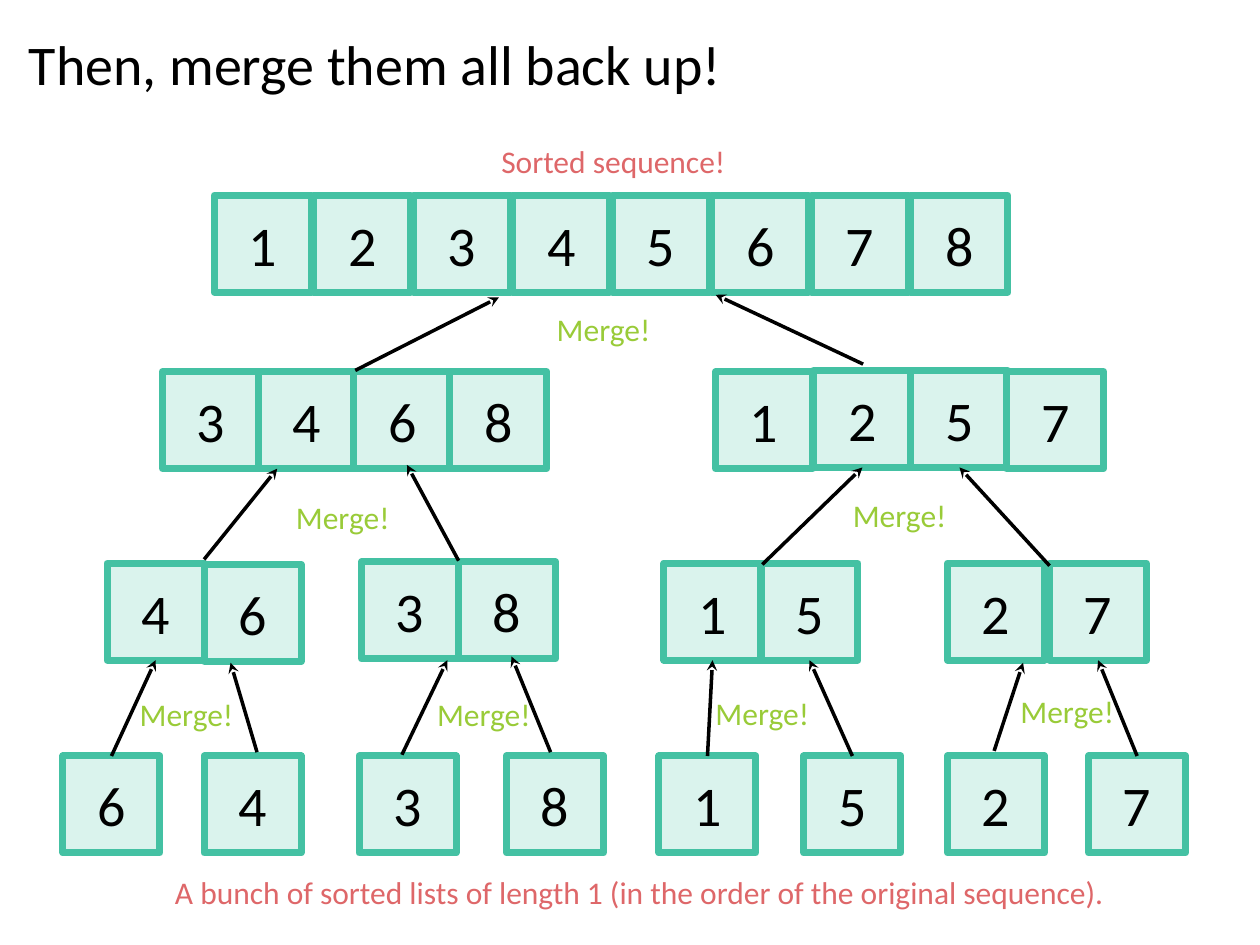
"""Build the merge sort slide that shows sorted lists merging back up."""
from typing import NamedTuple

from lxml import etree
from pptx import Presentation
from pptx.dml.color import RGBColor
from pptx.enum.shapes import MSO_CONNECTOR, MSO_SHAPE
from pptx.enum.text import MSO_ANCHOR, MSO_AUTO_SIZE, PP_ALIGN
from pptx.oxml.ns import qn
from pptx.shapes.autoshape import Shape
from pptx.shapes.connector import Connector
from pptx.slide import Slide
from pptx.text.text import _Paragraph
from pptx.util import Inches, Pt

RECTANGLE = MSO_SHAPE.RECTANGLE
STRAIGHT = MSO_CONNECTOR.STRAIGHT
MIDDLE = MSO_ANCHOR.MIDDLE
CENTER = PP_ALIGN.CENTER
GROW = MSO_AUTO_SIZE.SHAPE_TO_FIT_TEXT

BLACK = RGBColor(0x00, 0x00, 0x00)
MINT = RGBColor(0xDA, 0xF3, 0xED)
TEAL = RGBColor(0x44, 0xC1, 0xA3)
GREEN = RGBColor(0x99, 0xCB, 0x38)
RED = RGBColor(0xDE, 0x67, 0x69)

FONT = "Calibri"
CELL = 0.77
LEAF_TOP = 6
SNAP = Inches(0.03)
TOP_SIDE, BOTTOM_SIDE = 0, 2


class CellRow(NamedTuple):
    values: str
    left: float
    top: float
    pitch: float = CELL


class Label(NamedTuple):
    text: str
    left: float
    top: float
    width: float
    color: RGBColor


class Arrow(NamedTuple):
    x1: float
    y1: float
    x2: float
    y2: float


SORTED_LISTS = [
    CellRow("6", 1.62, 4.48),
    CellRow("4", 0.85, 4.47),
    CellRow("38", 2.87, 4.46),
    CellRow("15", 5.27, 4.47),
    CellRow("27", 7.52, 4.47, 0.81),
    CellRow("1", 5.68, 2.95),
    CellRow("25", 6.46, 2.94),
    CellRow("7", 7.99, 2.95),
    CellRow("3468", 1.29, 2.95, 0.76),
    CellRow("12345678", 1.7, 1.55, 0.79),
]
LEAF_LEFTS = [0.5, 1.62, 2.85, 4.02, 5.23, 6.38, 7.52, 8.64]
LEAVES = [CellRow(value, left, LEAF_TOP) for value, left in zip("64381527", LEAF_LEFTS)]

ARROWS = [
    Arrow(8.33, 4.49, 7.6, 3.71),
    Arrow(3.64, 4.45, 3.23, 3.69),
    Arrow(6.85, 2.89, 5.68, 2.34),
    Arrow(2.82, 2.94, 3.96, 2.36),
    Arrow(1.62, 4.44, 2.2, 3.72),
    Arrow(6.05, 4.48, 6.84, 3.71),
    Arrow(9.03, 6, 8.72, 5.25),
    Arrow(6.74, 5.98, 6.43, 5.23),
    Arrow(4.37, 5.97, 4.06, 5.21),
    Arrow(2.04, 5.97, 1.83, 5.26),
    Arrow(0.88, 6, 1.24, 5.25),
    Arrow(3.19, 5.99, 3.55, 5.24),
    Arrow(5.61, 5.99, 5.65, 5.25),
    Arrow(7.89, 5.96, 8.12, 5.26),
]

MERGE_SPOTS = [
    (8, 5.44), (5.58, 5.46), (3.37, 5.47), (1.01, 5.47),
    (2.25, 3.9), (6.67, 3.89), (4.32, 2.41),
]
LABELS = [Label("Merge!", left, top, 1.12, GREEN) for left, top in MERGE_SPOTS] + [
    Label("A bunch of sorted lists of length 1 (in the order of the original sequence).",
          1.29, 6.88, 8.02, RED),
    Label("Sorted sequence!", 3.88, 1.08, 2.15, RED),
]


def add_text(paragraph: _Paragraph, text: str, size: int, color: RGBColor) -> None:
    run = paragraph.add_run()
    run.text = text
    run.font.name = FONT
    run.font.size = Pt(size)
    run.font.color.rgb = color


def draw_title(slide: Slide, text: str) -> None:
    title = slide.shapes.add_textbox(Inches(0.13), Inches(0.07), Inches(8.62), Inches(0.93))
    frame = title.text_frame
    frame.word_wrap = True
    frame.vertical_anchor = MIDDLE
    frame.paragraphs[0].line_spacing = 0.9
    add_text(frame.paragraphs[0], text, 32, BLACK)


def draw_label(slide: Slide, label: Label) -> None:
    box = slide.shapes.add_textbox(
        Inches(label.left), Inches(label.top), Inches(label.width), Inches(0.4))
    frame = box.text_frame
    frame.word_wrap = True
    frame.auto_size = GROW
    add_text(frame.paragraphs[0], label.text, 18, label.color)


def draw_cells(slide: Slide, row: CellRow) -> list[Shape]:
    cells = []
    for index, value in enumerate(row.values):
        cell = slide.shapes.add_shape(
            RECTANGLE, Inches(row.left + index * row.pitch), Inches(row.top),
            Inches(CELL), Inches(CELL))
        cell.shadow.inherit = False
        cell.fill.solid()
        cell.fill.fore_color.rgb = MINT
        cell.line.color.rgb = TEAL
        cell.line.width = Pt(4)
        frame = cell.text_frame
        frame.vertical_anchor = MIDDLE
        frame.paragraphs[0].alignment = CENTER
        add_text(frame.paragraphs[0], value, 32, BLACK)
        cells.append(cell)
    return cells


def join_cells(connector: Connector, cells: list[Shape]) -> None:
    for cell in cells:
        middle = cell.left + cell.width // 2
        bottom = cell.top + cell.height
        if (abs(connector.begin_x - middle) <= SNAP
                and abs(connector.begin_y - cell.top) <= SNAP):
            connector.begin_connect(cell, TOP_SIDE)
        if (abs(connector.end_x - middle) <= SNAP
                and abs(connector.end_y - bottom) <= SNAP):
            connector.end_connect(cell, BOTTOM_SIDE)


def draw_arrow(slide: Slide, arrow: Arrow, cells: list[Shape]) -> None:
    connector = slide.shapes.add_connector(STRAIGHT, *(Inches(value) for value in arrow))
    connector.line.color.rgb = BLACK
    connector.line.width = Pt(2)
    properties = connector._element.spPr
    etree.SubElement(properties.find(qn("a:ln")), qn("a:tailEnd"), type="stealth")
    etree.SubElement(properties, qn("a:effectLst"))
    join_cells(connector, cells)


def main() -> None:
    presentation = Presentation()
    presentation.slide_width = Inches(10)
    presentation.slide_height = Inches(7.5)
    slide = presentation.slides.add_slide(presentation.slide_layouts[6])
    draw_title(slide, "Then, merge them all back up!")
    cells = [cell for row in SORTED_LISTS + LEAVES for cell in draw_cells(slide, row)]
    for arrow in ARROWS:
        draw_arrow(slide, arrow, cells)
    for label in LABELS:
        draw_label(slide, label)
    presentation.save("out.pptx")


if __name__ == "__main__":
    main()
